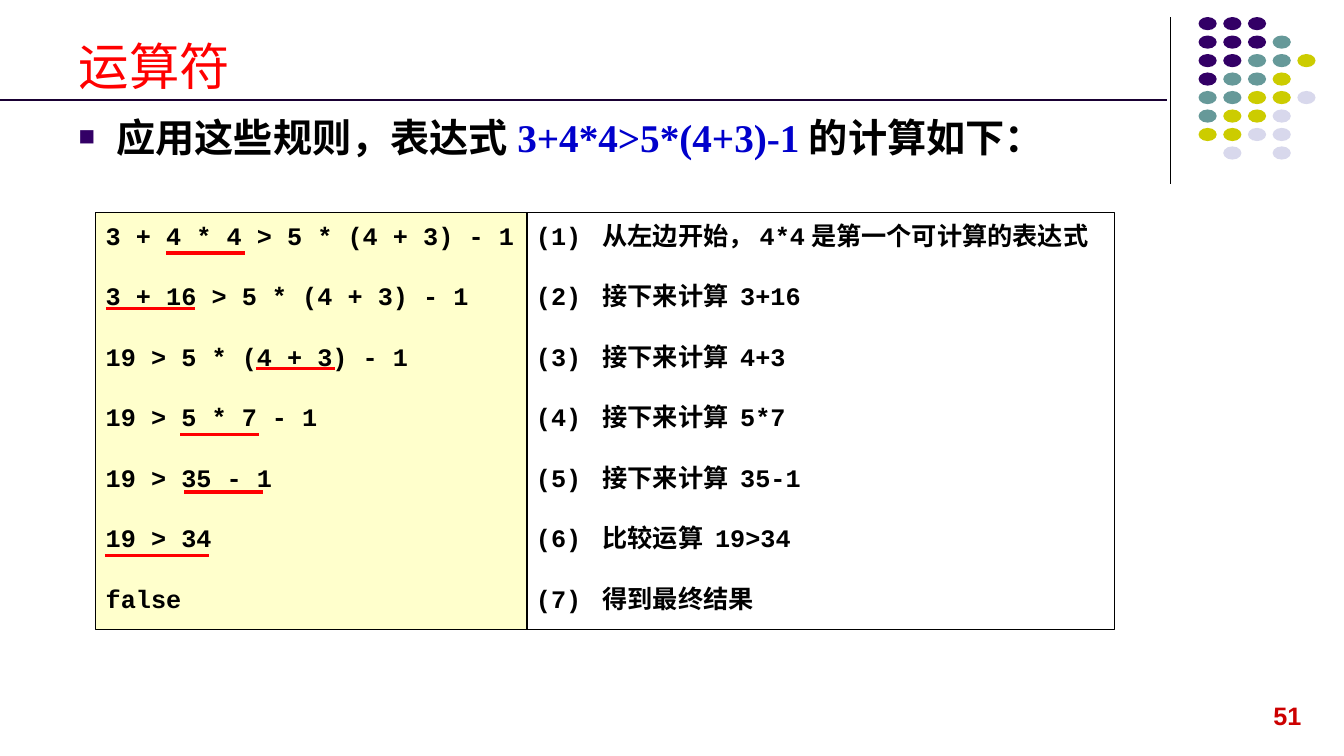
from lxml.etree import SubElement
from pptx import Presentation
from pptx.dml.color import RGBColor
from pptx.enum.shapes import MSO_CONNECTOR as Connector, MSO_SHAPE as Preset
from pptx.enum.text import MSO_ANCHOR as Anchor, MSO_AUTO_SIZE as AutoSize, PP_ALIGN as Align
from pptx.oxml.ns import qn
from pptx.util import Pt

BLACK = RGBColor(0, 0, 0)
RED = RGBColor(0xFF, 0, 0)
DARK_RED = RGBColor(0xCC, 0, 0)
BLUE = RGBColor(0, 0, 0xCC)
PURPLE = RGBColor(0x33, 0, 0x66)
DARK_PURPLE = RGBColor(0x19, 0, 0x33)
TEAL = RGBColor(0x66, 0x99, 0x99)
OLIVE = RGBColor(0xCC, 0xCC, 0)
LAVENDER = RGBColor(0xD8, 0xD8, 0xEC)
CREAM = RGBColor(0xFF, 0xFF, 0xCC)


def write(paragraph, text, size=18, name="Courier New", color=BLACK, bold=True):
    run = paragraph.add_run()
    run.text = text
    run.font.size = Pt(size)
    run.font.name = name
    run.font.bold = bold
    run.font.color.rgb = color


def draw_line(left, top, right, bottom, color, width):
    line = slide.shapes.add_connector(
        Connector.STRAIGHT, Pt(left), Pt(top), Pt(right), Pt(bottom))
    line.line.color.rgb = color
    line.line.width = Pt(width)
    SubElement(line._element.spPr, qn("a:effectLst"))


presentation = Presentation()
presentation.slide_width, presentation.slide_height = Pt(960), Pt(540)
slide = presentation.slides.add_slide(presentation.slide_layouts[1])

draw_line(836, 12.2, 836, 131.8, BLACK, 0.75)

DOT_COLORS = {"P": PURPLE, "T": TEAL, "O": OLIVE, "L": LAVENDER}
DOT_ROWS = ["PPP", "PPPT", "PPTTO", "PTTO", "TTOOL", "TOOL", "OOLL", " L L"]
dots = slide.shapes.add_group_shape()
for row, letters in enumerate(DOT_ROWS):
    for column, letter in enumerate(letters):
        if letter in DOT_COLORS:
            dot = dots.shapes.add_shape(
                Preset.OVAL, Pt(856.1 + 17.64 * column), Pt(12.2 + 13.2 * row), Pt(13), Pt(9.4))
            dot.shadow.inherit = False
            dot.fill.solid()
            dot.fill.fore_color.rgb = DOT_COLORS[letter]
            dot.line.fill.background()

title = slide.shapes.title
title.left, title.top, title.width, title.height = Pt(49), Pt(15), Pt(792), Pt(57)
title.text_frame.vertical_anchor = Anchor.BOTTOM
title.text_frame.auto_size = AutoSize.NONE
title_paragraph = title.text_frame.paragraphs[0]
title_paragraph.alignment = Align.LEFT
write(title_paragraph, "运算符", size=36, name="Roboto", color=RED, bold=False)

body = slide.placeholders[1]
body.left, body.top, body.width, body.height = Pt(49), Pt(77), Pt(864), Pt(72)
body.text_frame.auto_size = AutoSize.NONE
body_paragraph = body.text_frame.paragraphs[0]
properties = body_paragraph._p.get_or_add_pPr()
properties.set("marL", str(Pt(27)))
properties.set("indent", str(-Pt(27)))
bullet_color = SubElement(properties, qn("a:buClr"))
SubElement(bullet_color, qn("a:srgbClr"), val=str(PURPLE))
SubElement(properties, qn("a:buSzPct"), val="70000")
SubElement(properties, qn("a:buFont"), typeface="Arial")
SubElement(properties, qn("a:buChar"), char="■")
body_paragraph.space_before = Pt(0)
for text, color in [("应用这些规则，表达式", BLACK), ("3+4*4>5*(4+3)-1", BLUE), ("的计算如下：", BLACK)]:
    write(body_paragraph, text, size=28, name="Times New Roman", color=color)

EXPRESSIONS = [
    "3 + 4 * 4 > 5 * (4 + 3) - 1",
    "3 + 16 > 5 * (4 + 3) - 1",
    "19 > 5 * (4 + 3) - 1",
    "19 > 5 * 7 - 1",
    "19 > 35 - 1",
    "19 > 34",
    "false",
]
EXPLANATIONS = [
    "(1) 从左边开始，4*4是第一个可计算的表达式",
    "(2) 接下来计算 3+16",
    "(3) 接下来计算 4+3",
    "(4) 接下来计算 5*7",
    "(5) 接下来计算 35-1",
    "(6) 比较运算 19>34",
    "(7) 得到最终结果",
]
for left, width, fill, steps in [(68.4, 308.2, CREAM, EXPRESSIONS), (375.8, 420.5, None, EXPLANATIONS)]:
    panel = slide.shapes.add_shape(Preset.RECTANGLE, Pt(left), Pt(152), Pt(width), Pt(297.4))
    panel.shadow.inherit = False
    if fill is None:
        panel.fill.background()
    else:
        panel.fill.solid()
        panel.fill.fore_color.rgb = fill
    panel.line.color.rgb = BLACK
    panel.line.width = Pt(0.75)
    frame = panel.text_frame
    frame.word_wrap = True
    frame.vertical_anchor = Anchor.TOP
    for index, step in enumerate(steps):
        paragraph = frame.add_paragraph() if index else frame.paragraphs[0]
        paragraph.alignment = Align.LEFT
        paragraph.line_spacing = Pt(23.2)
        paragraph.space_before = Pt(20 if index else 0)
        write(paragraph, step)

UNDERLINES = [
    (118.8, 175, 180.7),
    (75.6, 139, 220.3),
    (182.9, 239, 263.5),
    (128.9, 185, 310.3),
    (131.8, 187.9, 351.4),
    (74.9, 149, 396.7),
]
for left, right, height in UNDERLINES:
    draw_line(left, height, right, height, RED, 2.25)

draw_line(0, 71.3, 833.8, 71.3, DARK_PURPLE, 1.5)

page_number = slide.shapes.add_textbox(Pt(895.7), Pt(496.8), Pt(41), Pt(29))
page_number.text_frame.word_wrap = True
number_paragraph = page_number.text_frame.paragraphs[0]
number_paragraph.alignment = Align.RIGHT
write(number_paragraph, "51", name="Arial", color=DARK_RED)

presentation.save("out.pptx")
